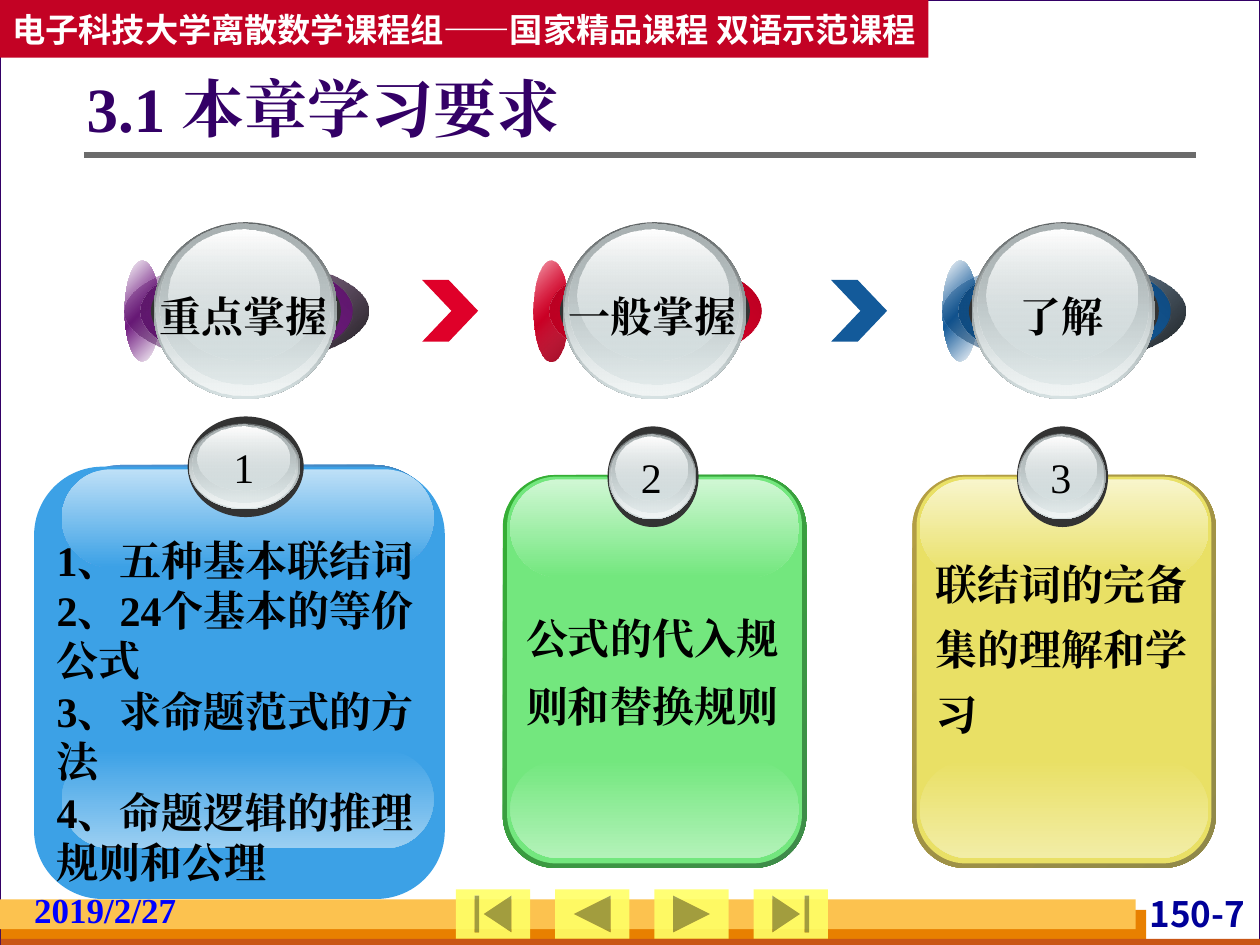
from collections import namedtuple

from lxml.etree import SubElement
from pptx import Presentation
from pptx.dml.color import RGBColor
from pptx.enum.shapes import MSO_CONNECTOR, MSO_SHAPE
from pptx.enum.text import MSO_ANCHOR, PP_ALIGN
from pptx.oxml.ns import qn
from pptx.util import Pt

Box = namedtuple("Box", "left top width height")
Stop = namedtuple("Stop", "position color opacity", defaults=(100,))
Theme = namedtuple("Theme", "base rim sheen halo_end halo_opacity halo_width")
Card = namedtuple("Card", "box body_box text_box edge base top_glow bottom_glow lines spacing")

WHITE = RGBColor(0xFF, 0xFF, 0xFF)
BLACK = RGBColor(0x00, 0x00, 0x00)
CHARCOAL = RGBColor(0x33, 0x33, 0x33)
GRAY = RGBColor(0x6B, 0x6B, 0x6B)
BACKDROP = RGBColor(0xD8, 0xDA, 0xDA)
INDIGO = RGBColor(0x33, 0x00, 0x66)
NAVY = RGBColor(0x00, 0x00, 0x99)
BLUE = RGBColor(0x00, 0x00, 0xFF)
ORANGE = RGBColor(0xE8, 0x80, 0x00)
RUST = RGBColor(0xC9, 0x56, 0x16)
AMBER = RGBColor(0xFC, 0xC2, 0x4F)
YELLOW = RGBColor(0xFF, 0xFF, 0x66)
CRIMSON = RGBColor(0xC3, 0x02, 0x24)
STEEL = RGBColor(0x63, 0x68, 0x69)
SILVER = RGBColor(0xAA, 0xB2, 0xB3)
MIST = RGBColor(0xD6, 0xE1, 0xE2)
PEARL = RGBColor(0xF1, 0xF5, 0xF5)
PURPLE = RGBColor(0x71, 0x1C, 0x81)
RED = RGBColor(0xDF, 0x00, 0x29)
OCEAN = RGBColor(0x13, 0x5A, 0x9A)

SERIF = "Times New Roman"
SANS = "Noto Sans CJK SC"
STEP = 233.7

THEMES = [
    Theme(PURPLE, RGBColor(0x57, 0x15, 0x63), RGBColor(0x5D, 0x17, 0x6A), BLACK, 90, 139),
    Theme(RED, RGBColor(0xAB, 0x00, 0x1F), RGBColor(0xB7, 0x00, 0x22),
          RGBColor(0xA0, 0x00, 0x1D), 100, 20),
    Theme(OCEAN, RGBColor(0x0F, 0x45, 0x76), RGBColor(0x10, 0x4A, 0x7E), BLACK, 90, 139),
]
LABELS = ["重点掌握", "一般掌握", "了解"]
CARDS = [
    Card(Box(31, 265.7, 221, 224.6), Box(-11.5, 1, 234.7, 247), Box(-5.8, 36, 224.6, 211),
         (RGBColor(0x4E, 0x91, 0xD4), RGBColor(0x34, 0x77, 0xA4)), RGBColor(0x3C, 0xA1, 0xE6),
         RGBColor(0xBE, 0xE0, 0xF7), RGBColor(0x9B, 0xCF, 0xF2),
         ["1、五种基本联结词", "2、24个基本的等价公式", "3、求命题范式的方法",
          "4、命题逻辑的推理规则和公理"], 1.0),
    Card(Box(287.3, 271.4, 173.5, 224.6), Box(2.5, 1, 168.5, 221), Box(6.2, 64.8, 165, 86),
         (RGBColor(0x34, 0xB0, 0x34), RGBColor(0x3F, 0x8B, 0x4A)), RGBColor(0x73, 0xE7, 0x7E),
         RGBColor(0xD0, 0xF7, 0xD4), RGBColor(0xB3, 0xF2, 0xB9),
         ["公式的代入规则和替换规则"], 1.35),
    Card(Box(521.3, 271.4, 173.5, 224.6), Box(2.5, 1, 168.5, 221), Box(6, 35.3, 165, 121),
         (RGBColor(0xB5, 0x9F, 0x43), RGBColor(0x8F, 0x88, 0x49)), RGBColor(0xE9, 0xE0, 0x65),
         RGBColor(0xF8, 0xF5, 0xCC), RGBColor(0xF2, 0xED, 0xA6),
         ["联结词的完备集的理解和学习"], 1.3),
]


def within(outer, left, top, width, height):
    """Return a box whose corner is offset from the corner of the outer box."""
    return Box(outer.left + left, outer.top + top, width, height)


def add_color(parent, color, opacity):
    """Append a colour with its opacity to an XML parent."""
    element = SubElement(parent, qn("a:srgbClr"), val=str(color))
    if opacity < 100:
        SubElement(element, qn("a:alpha"), val=str(opacity * 1000))


def add_form(slide, kind, box, stops, angle=90, adjustment=None):
    """Add a preset shape with one colour or a linear gradient."""
    shape = slide.shapes.add_shape(kind, *map(Pt, box))
    shape.shadow.inherit = False
    shape.line.fill.background()
    if adjustment is not None:
        shape.adjustments[0] = adjustment
    if isinstance(stops, RGBColor):
        shape.fill.solid()
        shape.fill.fore_color.rgb = stops
        return shape
    shape.fill.gradient()
    gradient = shape._element.spPr.find(qn("a:gradFill"))
    for child in list(gradient):
        gradient.remove(child)
    stop_list = SubElement(gradient, qn("a:gsLst"))
    for stop in stops:
        element = SubElement(stop_list, qn("a:gs"), pos=str(stop.position * 1000))
        add_color(element, stop.color, stop.opacity)
    SubElement(gradient, qn("a:lin"), ang=str(angle * 60000), scaled="1")
    return shape


def write_text(shape, lines, frame_format, paragraph_format, size, color, name=SERIF, bold=True):
    """Fill a shape with formatted paragraphs."""
    frame = shape.text_frame
    for key, value in frame_format.items():
        setattr(frame, key, value)
    font_format = {"size": Pt(size), "bold": bold, "name": name}
    for index, line in enumerate(lines):
        paragraph = frame.paragraphs[0] if index == 0 else frame.add_paragraph()
        for key, value in paragraph_format.items():
            setattr(paragraph, key, value)
        run = paragraph.add_run()
        run.text = line
        for key, value in font_format.items():
            setattr(run.font, key, value)
        run.font.color.rgb = color
        properties = run._r.get_or_add_rPr()
        properties.set("lang", "zh-CN")
        SubElement(properties, qn("a:ea"), typeface=name)


def add_label(slide, box, lines, frame_format, paragraph_format, *font):
    """Add a text box with formatted paragraphs."""
    shape = slide.shapes.add_textbox(*map(Pt, box))
    write_text(shape, lines, {"word_wrap": True} | frame_format, paragraph_format, *font)


def add_frame(slide, page):
    """Draw the page, banner, title and footer."""
    sheet = add_form(slide, MSO_SHAPE.RECTANGLE, page, WHITE)
    sheet.line.color.rgb = INDIGO
    sheet.line.width = Pt(0.75)
    for box, color in [((0.5, 520, 654.5, 20), ORANGE), ((0.5, 536.5, 719.5, 3.5), RUST),
                       ((0, 514, 649, 17), AMBER)]:
        add_form(slide, MSO_SHAPE.RECTANGLE, within(page, *box), color)
    tight = {"margin_left": Pt(3), "margin_right": Pt(3), "margin_top": 0, "margin_bottom": 0}
    add_label(slide, within(page, 626.5, 510, 88, 24), ["150-7"], tight,
              {"alignment": PP_ALIGN.RIGHT}, 20, NAVY, SANS)
    add_label(slide, within(page, 16.5, 507.5, 119, 24), ["2019/2/27"], tight, {}, 20, BLUE)
    rule = slide.shapes.add_connector(MSO_CONNECTOR.STRAIGHT, Pt(48), Pt(88.5), Pt(683.5), Pt(88.5))
    rule.line.color.rgb = GRAY
    rule.line.width = Pt(3)
    SubElement(rule._element.spPr, qn("a:effectLst"))
    banner = add_form(slide, MSO_SHAPE.RECTANGLE, within(page, 0, 0, 530.5, 33), CRIMSON)
    write_text(banner, ["电子科技大学离散数学课程组——国家精品课程 双语示范课程"],
               tight | {"word_wrap": False, "vertical_anchor": MSO_ANCHOR.MIDDLE},
               {"alignment": PP_ALIGN.CENTER}, 19, WHITE, SANS)
    add_label(slide, within(page, 49.5, 39, 560, 50), ["3.1 本章学习要求"],
              {"margin_left": 0, "vertical_anchor": MSO_ANCHOR.MIDDLE},
              {"line_spacing": 0.9}, 36, INDIGO)


def add_navigation(slide, box):
    """Draw the row of translucent navigation buttons."""
    kinds = [MSO_SHAPE.ACTION_BUTTON_BEGINNING, MSO_SHAPE.ACTION_BUTTON_BACK_OR_PREVIOUS,
             MSO_SHAPE.ACTION_BUTTON_FORWARD_OR_NEXT, MSO_SHAPE.ACTION_BUTTON_END]
    for index, kind in enumerate(kinds):
        button = add_form(slide, kind, within(box, index * 56.7, 0, 42.5, box.height), YELLOW)
        fill = button._element.spPr.find(qn("a:solidFill"))
        fill.remove(fill[0])
        add_color(fill, YELLOW, 90)


def add_ball(slide, box):
    """Draw a glass ball from four layered ellipses."""
    layers = [
        ((0, 0, 1, 1), Stop(0, STEEL), Stop(100, MIST)),
        ((0.01, 0.01, 0.97, 0.97), Stop(0, MIST, 0), Stop(100, PEARL)),
        ((0.03, 0.01, 0.93, 0.91), Stop(0, SILVER), Stop(100, MIST, 48)),
        ((0.08, 0.04, 0.82, 0.74), Stop(0, WHITE), Stop(100, MIST, 38)),
    ]
    for (left, top, width, height), *stops in layers:
        layer = within(box, left * box.width, top * box.height,
                       width * box.width, height * box.height)
        add_form(slide, MSO_SHAPE.OVAL, layer, stops)


def add_medallion(slide, box, theme, label):
    """Draw a coloured ring with a glass ball and its label."""
    base, rim = theme.base, theme.rim
    rings = [
        (0, 20, [Stop(0, WHITE), Stop(50, base), Stop(100, WHITE)], 45),
        (0, theme.halo_width,
         [Stop(0, base, 32), Stop(100, theme.halo_end, theme.halo_opacity)], 45),
        (9, 121, [Stop(0, rim), Stop(50, base), Stop(100, rim)], 315),
        (9, 121, [Stop(0, theme.sheen), Stop(100, base, 0)], 45),
        (15, 108.5, CHARCOAL, 0),
    ]
    for left, width, stops, angle in rings:
        add_form(slide, MSO_SHAPE.OVAL, within(box, left, 22, width, 57.5), stops, angle)
    add_ball(slide, within(box, 16.5, 0, 105, box.height))
    add_label(slide, within(box, 8, 35.5, 120, 36.5), [label], {"word_wrap": False},
              {"alignment": PP_ALIGN.CENTER}, 24, BLACK)


def add_card(slide, card, number):
    """Draw a glossy card with its numbered badge and text."""
    box, base = card.box, card.base
    rounded = MSO_SHAPE.ROUNDED_RECTANGLE
    add_form(slide, rounded, box, [Stop(0, card.edge[0]), Stop(100, card.edge[1])], 45, 0.175)
    add_form(slide, rounded, within(box, *card.body_box), base, adjustment=0.167)
    for top, start, end in [(163, base, card.bottom_glow), (2.5, card.top_glow, base)]:
        add_form(slide, rounded, within(box, 4.3, top, box.width - 8.5, 56),
                 [Stop(0, start), Stop(100, end)], adjustment=0.5)
    badge = within(box, box.width * 0.345, -27.7, box.width * 0.3, 57.5)
    add_form(slide, MSO_SHAPE.OVAL, badge, CHARCOAL)
    add_ball(slide, within(badge, 0.6, 4, badge.width * 0.96, 49))
    add_label(slide, within(badge, 0, 11, badge.width - 2, 36.5), [str(number)], {},
              {"alignment": PP_ALIGN.CENTER}, 24, BLACK, SERIF, False)
    add_label(slide, within(box, *card.text_box), card.lines, {},
              {"line_spacing": card.spacing}, 24, BLACK)


def main():
    """Build and save the slide."""
    presentation = Presentation()
    presentation.slide_width, presentation.slide_height = Pt(720), Pt(540)
    slide = presentation.slides.add_slide(presentation.slide_layouts[6])
    slide.background.fill.solid()
    slide.background.fill.fore_color.rgb = BACKDROP
    add_frame(slide, Box(0, 0, 720, 540))
    add_navigation(slide, Box(260.5, 508.3, 212.6, 28))
    for index, color in enumerate([RED, OCEAN]):
        add_form(slide, MSO_SHAPE.CHEVRON, Box(241.2 + index * STEP, 160, 32, 35.3), color,
                 adjustment=0.525)
    for index, (theme, label) in enumerate(zip(THEMES, LABELS)):
        add_medallion(slide, Box(71.3 + index * STEP, 127, 139, 101), theme, label)
    for number, card in enumerate(CARDS, 1):
        add_card(slide, card, number)
    presentation.save("out.pptx")


if __name__ == "__main__":
    main()
